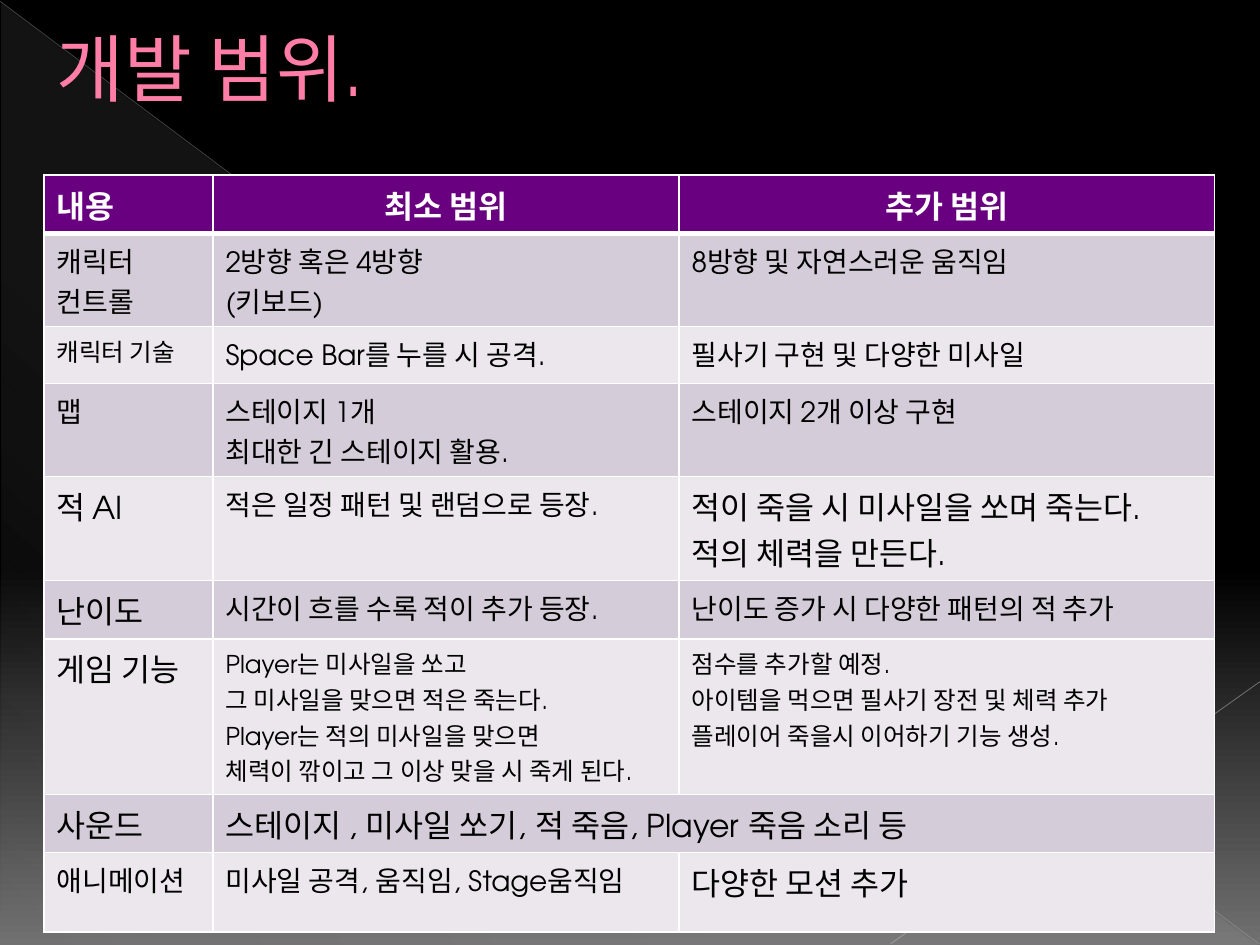
"""Build the development scope slide: a title and a table of minimum and extra scope."""
from lxml import etree
from pptx import Presentation
from pptx import util as u
from pptx.dml.color import RGBColor
from pptx.enum import shapes, text
from pptx.oxml.ns import qn

THEME = {
    "font": "TeX Gyre Adventor",
    "title": "FF7DA7", "title_outline": "B12761", "title_size": 42,
    "header": "68007F", "bands": ("D4CCD8", "EBE7EC"), "border": "FFFFFF",
    "header_text": "FFFFFF", "body_text": "000000", "header_size": 18,
    "background": [(0, "000000", 100), (60, "000000", 100), (100, "707070", 100)],
    "triangle": [(0, "D2D2D2", 10), (70, "D2D2D2", 8), (100, "D2D2D2", 1)],
}
TITLE = "개발 범위."
HEADER = ("내용", "최소 범위", "추가 범위")
ROWS = [
    (0.61, [("캐릭터\n컨트롤", 16), ("2방향 혹은 4방향\n(키보드)", 16),
            ("8방향 및 자연스러운 움직임", 16)]),
    (0.45, [("캐릭터 기술", 14), ("Space Bar를 누를 시 공격.", 16),
            ("필사기 구현 및 다양한 미사일", 16)]),
    (0.63, [("맵", 16), ("스테이지 1개\n최대한 긴 스테이지 활용.", 16),
            ("스테이지 2개 이상 구현", 16)]),
    (0.68, [("적 AI", 18), ("적은 일정 패턴 및 랜덤으로 등장.", 16),
            ("적이 죽을 시 미사일을 쏘며 죽는다.\n적의 체력을 만든다.", 18)]),
    (0.39, [("난이도", 18), ("시간이 흐를 수록 적이 추가 등장.", 16),
            ("난이도 증가 시 다양한 패턴의 적 추가", 16)]),
    (1.2, [("게임 기능", 18),
           ("Player는 미사일을 쏘고\n그 미사일을 맞으면 적은 죽는다.\n"
            "Player는 적의 미사일을 맞으면\n체력이 깎이고 그 이상 맞을 시 죽게 된다.", 14),
           ("점수를 추가할 예정.\n아이템을 먹으면 필사기 장전 및 체력 추가\n"
            "플레이어 죽을시 이어하기 기능 생성.", 14)]),
    (0.46, [("사운드", 18), ("스테이지 , 미사일 쏘기, 적 죽음, Player 죽음 소리 등", 18), None]),
    (0.63, [("애니메이션", 16), ("미사일 공격, 움직임, Stage움직임", 16),
            ("다양한 모션 추가", 18)]),
]
COLUMN_WIDTHS = (1.34, 3.7, 4.25)
HEADER_HEIGHT = 0.39
TABLE_LEFT, TABLE_TOP = 0.35, 1.39
LINES = [
    ((0, 0.01), (9.99, 7.49), "BFBFBF", 0.39, 35),
    ((10, 5.41), (7.07, 7.49), "C6C6C6", 0.47, 45),
]


def add_color(parent, color, opacity=100):
    node = etree.SubElement(parent, qn("a:srgbClr"), val=color)
    if opacity < 100:
        etree.SubElement(node, qn("a:alpha"), val=str(opacity * 1000))


def set_gradient(properties, stops, angle):
    gradient = etree.Element(qn("a:gradFill"), rotWithShape="1")
    stop_list = etree.SubElement(gradient, qn("a:gsLst"))
    for position, color, opacity in stops:
        stop = etree.SubElement(stop_list, qn("a:gs"), pos=str(position * 1000))
        add_color(stop, color, opacity)
    etree.SubElement(gradient, qn("a:lin"), ang=str(angle * 60000), scaled="0")
    properties.replace(properties.find(qn("a:solidFill")), gradient)


def make_line(tag, color, width):
    line = etree.Element(qn(tag), w=str(u.Pt(width)))
    add_color(etree.SubElement(line, qn("a:solidFill")), color)
    return line


def format_text(frame, size, color, bold=False, align=text.PP_ALIGN.LEFT):
    for paragraph in frame.paragraphs:
        paragraph.alignment = align
        for run in paragraph.runs:
            run.font.name = THEME["font"]
            run.font.size = u.Pt(size)
            run.font.bold = bold
            run.font.color.rgb = RGBColor.from_string(color)


def add_backdrop(slide):
    slide.background.fill.solid()
    set_gradient(slide.element.find(".//" + qn("p:bgPr")), THEME["background"], 90)
    triangle = slide.shapes.add_shape(
        shapes.MSO_SHAPE.RIGHT_TRIANGLE,
        u.Inches(0.01), u.Inches(0.02), u.Inches(9.98), u.Inches(7.48))
    triangle.shadow.inherit = False
    triangle.line.fill.background()
    triangle.fill.solid()
    set_gradient(triangle.element.spPr, THEME["triangle"], 133)
    for start, end, color, width, opacity in LINES:
        connector = slide.shapes.add_connector(
            shapes.MSO_CONNECTOR.STRAIGHT, *map(u.Inches, start + end))
        connector.line.width = u.Pt(width)
        connector.line.color.rgb = RGBColor.from_string(color)
        properties = connector.element.spPr
        etree.SubElement(properties.find(".//" + qn("a:srgbClr")), qn("a:alpha"),
                         val=str(opacity * 1000))
        etree.SubElement(properties, qn("a:effectLst"))


def add_title(slide):
    title = slide.shapes.title
    title.left, title.top = u.Inches(0.35), u.Inches(0)
    title.width, title.height = u.Inches(9), u.Inches(1.07)
    title.text_frame.text = TITLE
    title.text_frame.vertical_anchor = text.MSO_ANCHOR.MIDDLE
    format_text(title.text_frame, THEME["title_size"], THEME["title"])
    run = title.text_frame.paragraphs[0].runs[0]
    run.font.element.insert(0, make_line("a:ln", THEME["title_outline"], 0.5)) if hasattr(
        run.font, "element") else title.element.find(".//" + qn("a:rPr")).insert(
        0, make_line("a:ln", THEME["title_outline"], 0.5))
    slide.shapes.element.append(title.element)


def style_cell(cell, row, fill):
    properties = cell._tc.get_or_add_tcPr()
    widths = {"L": 1, "R": 1, "T": 3 if row == 1 else 1, "B": 3 if row == 0 else 1}
    for side, width in widths.items():
        properties.append(make_line("a:ln" + side, THEME["border"], width))
    cell.fill.solid()
    cell.fill.fore_color.rgb = RGBColor.from_string(fill)


def add_scope_table(slide):
    heights = [HEADER_HEIGHT] + [height for height, _ in ROWS]
    table = slide.shapes.add_table(
        len(heights), len(COLUMN_WIDTHS), u.Inches(TABLE_LEFT), u.Inches(TABLE_TOP),
        u.Inches(sum(COLUMN_WIDTHS)), u.Inches(sum(heights))).table
    for column, width in zip(table.columns, COLUMN_WIDTHS):
        column.width = u.Inches(width)
    for row, height in zip(table.rows, heights):
        row.height = u.Inches(height)
    for index, label in enumerate(HEADER):
        cell = table.cell(0, index)
        style_cell(cell, 0, THEME["header"])
        cell.text_frame.text = label
        align = text.PP_ALIGN.CENTER if index else text.PP_ALIGN.LEFT
        format_text(cell.text_frame, THEME["header_size"], THEME["header_text"], True, align)
    for row, (_, entries) in enumerate(ROWS, 1):
        for index, entry in enumerate(entries):
            cell = table.cell(row, index)
            style_cell(cell, row, THEME["bands"][(row - 1) % 2])
            if entry is None:
                table.cell(row, index - 1).merge(cell)
                continue
            label, size = entry
            cell.text_frame.text = label
            format_text(cell.text_frame, size, THEME["body_text"])


def main():
    presentation = Presentation()
    presentation.slide_width, presentation.slide_height = u.Inches(10), u.Inches(7.5)
    slide = presentation.slides.add_slide(presentation.slide_layouts[5])
    add_backdrop(slide)
    add_title(slide)
    add_scope_table(slide)
    presentation.save("out.pptx")


if __name__ == "__main__":
    main()
